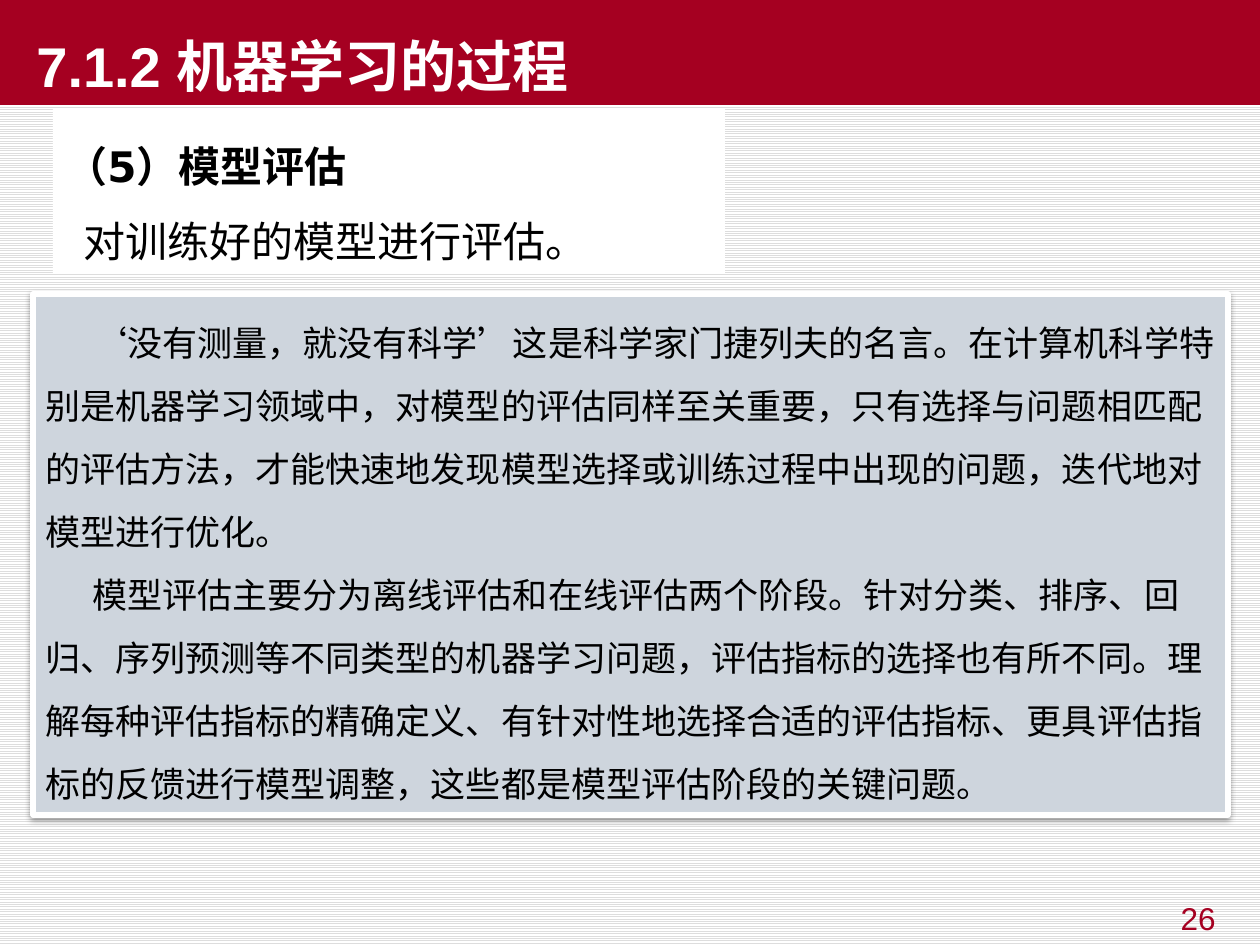
from lxml import etree
from pptx import Presentation
from pptx.dml.color import RGBColor
from pptx.enum.dml import MSO_PATTERN
from pptx.enum.shapes import MSO_SHAPE
from pptx.enum.text import MSO_ANCHOR, PP_ALIGN
from pptx.oxml.ns import qn
from pptx.util import Emu, Pt

RECT = MSO_SHAPE.RECTANGLE
STRIPES = MSO_PATTERN.LIGHT_HORIZONTAL
TOP, BOTTOM = MSO_ANCHOR.TOP, MSO_ANCHOR.BOTTOM
LEFT, RIGHT = PP_ALIGN.LEFT, PP_ALIGN.RIGHT

RED = RGBColor(0xA5, 0x00, 0x21)
WHITE = RGBColor(0xFF, 0xFF, 0xFF)
BLACK = RGBColor(0x00, 0x00, 0x00)
GRAY = RGBColor(0xDD, 0xDD, 0xDD)
BLUE = RGBColor(0xCE, 0xD5, 0xDD)

QUOTE = "‘没有测量，就没有科学’这是科学家门捷列夫的名言。在计算机科学特别是机器学习领域中，对模型的评估同样至关重要，只有选择与问题相匹配的评估方法，才能快速地发现模型选择或训练过程中出现的问题，迭代地对模型进行优化。"
STAGES = "模型评估主要分为离线评估和在线评估两个阶段。针对分类、排序、回归、序列预测等不同类型的机器学习问题，评估指标的选择也有所不同。理解每种评估指标的精确定义、有针对性地选择合适的评估指标、更具评估指标的反馈进行模型调整，这些都是模型评估阶段的关键问题。"


def px(n):
    return Emu(round(n * 914400 / 126))


def add_box(slide, area, fill, anchor=TOP):
    box = slide.shapes.add_shape(RECT, *map(px, area))
    box.shadow.inherit = False
    box.fill.solid()
    box.fill.fore_color.rgb = fill
    box.line.fill.background()
    box.text_frame.word_wrap = True
    box.text_frame.vertical_anchor = anchor
    return box


def add_edge(box, color, width):
    box.line.color.rgb = color
    box.line.width = Pt(width)


def add_shade(box):
    effects = box._element.spPr.find(qn("a:effectLst"))
    shade = etree.SubElement(effects, qn("a:outerShdw"), blurRad=str(Pt(3.1)),
                             dist=str(Pt(1.6)), dir="5400000", rotWithShape="0")
    color = etree.SubElement(shade, qn("a:srgbClr"), val=str(BLACK))
    etree.SubElement(color, qn("a:alpha"), val="38000")


def add_text(box, rows, face, size, color, space=1.0, align=LEFT):
    frame = box.text_frame
    for i, (text, indent, bold) in enumerate(rows):
        para = frame.add_paragraph() if i else frame.paragraphs[0]
        para.text = text
        para.alignment = align
        para.line_spacing = space
        props = para._p.get_or_add_pPr()
        props.set("indent", str(px(indent)))
        props.set("hangingPunct", "0")
        font = para.font
        font.name = face
        font.size = Pt(size)
        font.bold = bold
        font.color.rgb = color


def main():
    deck = Presentation()
    deck.slide_width, deck.slide_height = px(1260), px(945)
    slide = deck.slides.add_slide(deck.slide_layouts[6])
    back = slide.background.fill
    back.patterned()
    back.pattern = STRIPES
    back.fore_color.rgb = GRAY
    back.back_color.rgb = WHITE

    page = slide.shapes.add_textbox(px(955), px(893), px(273), px(49))
    page.text_frame.word_wrap = True
    add_text(page, [("26", 0, False)], "Arial", 18, RED, align=RIGHT)

    step = add_box(slide, (53, 109, 672, 165), WHITE)
    add_text(step, [("（5）模型评估", 0, True), ("对训练好的模型进行评估。", 18, False)],
             "DejaVu Sans", 24, BLACK, 1.5)

    panel = add_box(slide, (33, 294, 1195, 521), BLUE)
    add_edge(panel, WHITE, 3)
    add_shade(panel)
    add_text(panel, [(QUOTE, 47, False), (STAGES, 47, False)], "Arial", 20, BLACK, 1.5)

    title = add_box(slide, (0, 0, 1260, 105), RED, BOTTOM)
    add_text(title, [("7.1.2 机器学习的过程", 24, True)], "Arial", 32, WHITE)

    deck.save("out.pptx")


if __name__ == "__main__":
    main()
